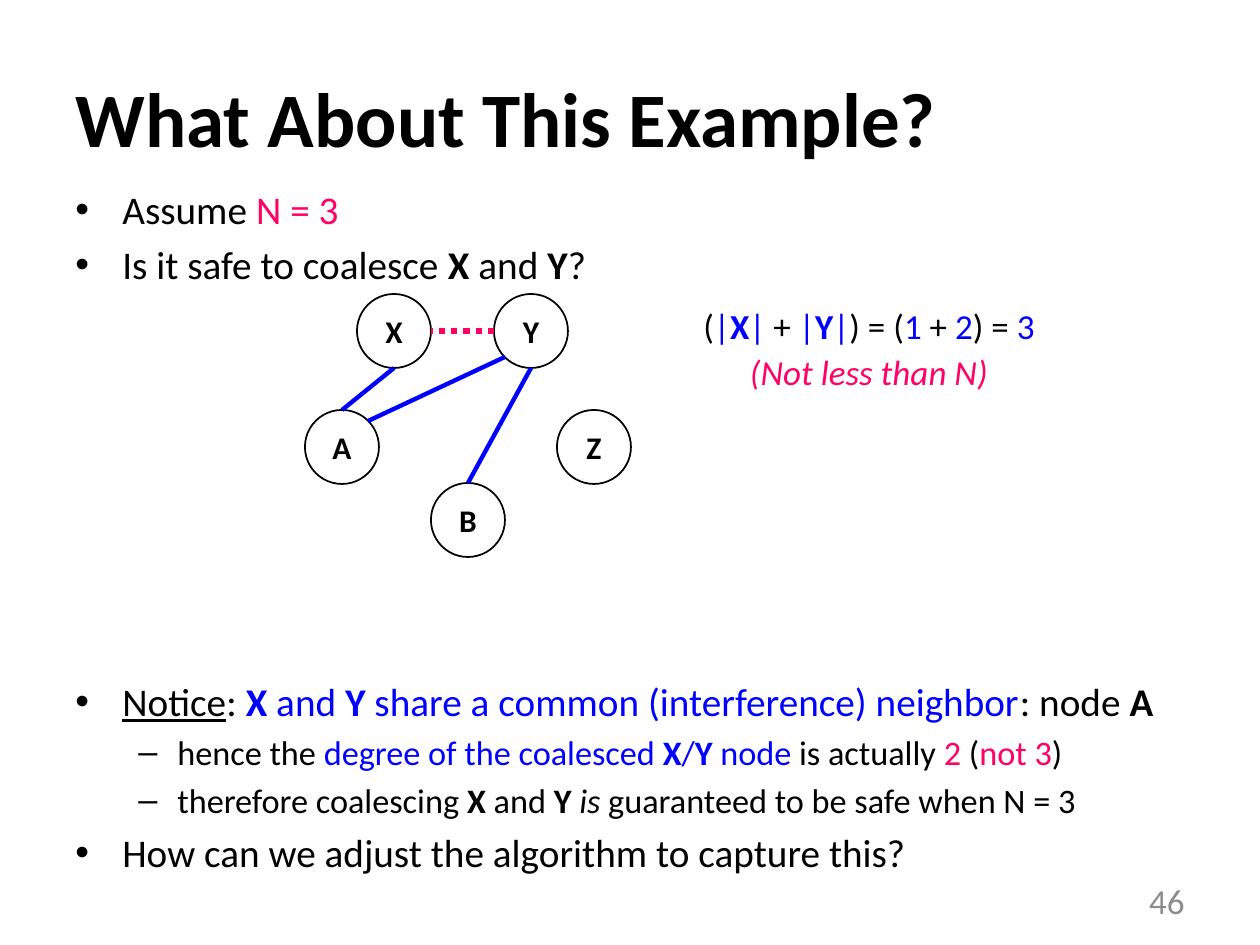
from lxml import etree
from pptx import Presentation
from pptx.dml.color import RGBColor
from pptx.enum.dml import MSO_LINE
from pptx.enum.shapes import MSO_CONNECTOR, MSO_SHAPE
from pptx.enum.text import MSO_ANCHOR, PP_ALIGN
from pptx.oxml.ns import qn
from pptx.util import Emu, Pt

OVAL, LINE = MSO_SHAPE.OVAL, MSO_CONNECTOR.STRAIGHT
LEFT, MID, RIGHT = PP_ALIGN.LEFT, PP_ALIGN.CENTER, PP_ALIGN.RIGHT
TOP, CENTER = MSO_ANCHOR.TOP, MSO_ANCHOR.MIDDLE
DOTS = MSO_LINE.ROUND_DOT  # written as sysDot

SCALE = 914400 / 126  # EMU in one px
FONT, CODE = "Calibri", "Courier New"
BLACK, BLUE, PINK, GRAY = "000000", "0000FF", "FF0066", "8C8C8C"
NODE = 74


def px(n):
    return Emu(round(n * SCALE))


def color(code):
    return RGBColor.from_string(code)


def write(para, text, size=20, ink=BLACK, bold=False, italic=False,
          under=False, code=False):
    run = para.add_run()
    run.text = text
    font = run.font
    font.name, font.size = FONT, Pt(size)
    font.bold, font.italic, font.underline = bold, italic, under
    font.color.rgb = color(ink)
    if code:  # Courier New is the complex-script face of variable names
        rpr = run._r.get_or_add_rPr()
        etree.SubElement(rpr, qn("a:cs"), typeface=CODE)


def name(text, ink=BLACK):
    return text, dict(ink=ink, bold=True, code=True)


def fill(para, parts, size):
    """Write plain strings and (text, format) pairs in order."""
    for part in parts:
        text, look = (part, {}) if isinstance(part, str) else part
        write(para, text, size=size, **look)


def text_box(slide, box, anchor=TOP, wrap=True):
    frame = slide.shapes.add_textbox(*map(px, box)).text_frame
    frame.word_wrap, frame.vertical_anchor = wrap, anchor
    return frame


def paras(frame, count):
    return [frame.paragraphs[0]] + [frame.add_paragraph() for _ in range(count - 1)]


def bullet(para, mark, left, hang):
    ppr = para._p.get_or_add_pPr()
    ppr.set("marL", str(px(left)))
    ppr.set("indent", str(-px(hang)))
    etree.SubElement(ppr, qn("a:buFont"), typeface="Arial")
    etree.SubElement(ppr, qn("a:buChar"), char=mark)


def add_title(slide, box, text):
    title = slide.shapes.title
    title.left, title.top, title.width, title.height = map(px, box)
    frame = title.text_frame
    frame.vertical_anchor = CENTER
    para = frame.paragraphs[0]
    para.alignment = LEFT
    write(para, text, size=44, bold=True)


def add_body(slide, box, items):
    """Each item is (level, space before in points or None, parts)."""
    frame = text_box(slide, box)
    for n, (para, item) in enumerate(zip(paras(frame, len(items)), items)):
        level, gap, parts = item
        mark, left, hang, size = [("•", 47, 47, 22.4), ("–", 102, 39, 19.6)][level]
        para.level = level
        bullet(para, mark, left, hang)
        if n:
            para.space_before = Pt(gap or round(size / 5, 1))
        fill(para, parts, size)


def add_node(slide, left, top, label):
    node = slide.shapes.add_shape(OVAL, *map(px, (left, top, NODE, NODE)))
    node.shadow.inherit = False
    node.fill.background()
    node.line.color.rgb, node.line.width = color(BLACK), Pt(1)
    frame = node.text_frame
    frame.margin_left = frame.margin_right = 0
    frame.vertical_anchor = CENTER
    para = frame.paragraphs[0]
    para.alignment = MID
    write(para, label, size=18, bold=True, code=True)


def add_edge(slide, start, end, ink, width, dash=None):
    edge = slide.shapes.add_connector(LINE, *map(px, start + end))
    edge.line.color.rgb, edge.line.width = color(ink), Pt(width)
    if dash:
        edge.line.dash_style = dash
    etree.SubElement(edge._element.spPr, qn("a:effectLst"))


def add_graph(slide, x, y):
    spots = {"B": (126, 189), "X": (52, 0), "Y": (189, 0),
             "A": (0, 116), "Z": (252, 116)}

    def port(label, across, down):
        """Point on a node, as fractions of its width and height."""
        left, top = spots[label]
        return x + left + across * NODE, y + top + down * NODE

    for label, (left, top) in spots.items():
        add_node(slide, x + left, y + top, label)

    # Interference edges, then the move edge
    top, low = (0.5, 0), (0.5, 1)
    for a, start, b, end in [("Y", (0.15, 0.85), "A", (0.85, 0.15)),
                             ("X", low, "A", top), ("Y", low, "B", top)]:
        add_edge(slide, port(a, *start), port(b, *end), BLUE, 2.5)
    add_edge(slide, port("Y", 0, 0.5), port("X", 1, 0.5), PINK, 3.5, DOTS)


def add_sum(slide, box, lines):
    frame = text_box(slide, box, wrap=False)
    for para, parts in zip(paras(frame, len(lines)), lines):
        para.alignment, para.line_spacing = MID, 1.1
        fill(para, parts, 20)


def add_number(slide, box, text):
    para = text_box(slide, box, CENTER).paragraphs[0]
    para.alignment = RIGHT
    write(para, text, ink=GRAY)


def main():
    deck = Presentation()
    deck.slide_width, deck.slide_height = px(1260), px(945)
    slide = deck.slides.add_slide(deck.slide_layouts[5])
    blue, pink = dict(ink=BLUE), dict(ink=PINK)
    bar = ("|", blue)
    bx, by = name("X", BLUE), name("Y", BLUE)

    add_title(slide, (63, 38, 1134, 157), "What About This Example?")
    # The third item leaves room for the graph above it
    add_body(slide, (63, 179, 1144, 665), [
        (0, None, ["Assume ", ("N = 3", pink)]),
        (0, None, ["Is it safe to coalesce ", name("X"), " and ", name("Y"), "?"]),
        (0, 223, [("Notice", dict(under=True)), ": ", bx, (" and ", blue), by,
                  (" share a common (interference) neighbor", blue),
                  ": node ", name("A")]),
        (1, None, ["hence the ", ("degree of the coalesced ", blue), bx,
                   ("/", blue), by, (" node", blue), " is actually ",
                   ("2", pink), " (", ("not 3", pink), ")"]),
        (1, None, ["therefore coalescing ", name("X"), " and ", name("Y "),
                   ("is", dict(italic=True)), " guaranteed to be safe when N = 3"]),
        (0, None, ["How can we adjust the algorithm to capture this?"]),
    ])
    add_number(slide, (903, 876, 294, 50), "46")
    add_graph(slide, 305, 294)
    add_sum(slide, (687, 294, 364, 106), [
        ["(", bar, bx, bar, " + ", bar, by, bar, ") = (", ("1", blue), " + ",
         ("2", blue), ") = ", ("3", blue)],
        [("(Not less than N)", dict(ink=PINK, italic=True))],
    ])
    deck.save("out.pptx")


if __name__ == "__main__":
    main()
